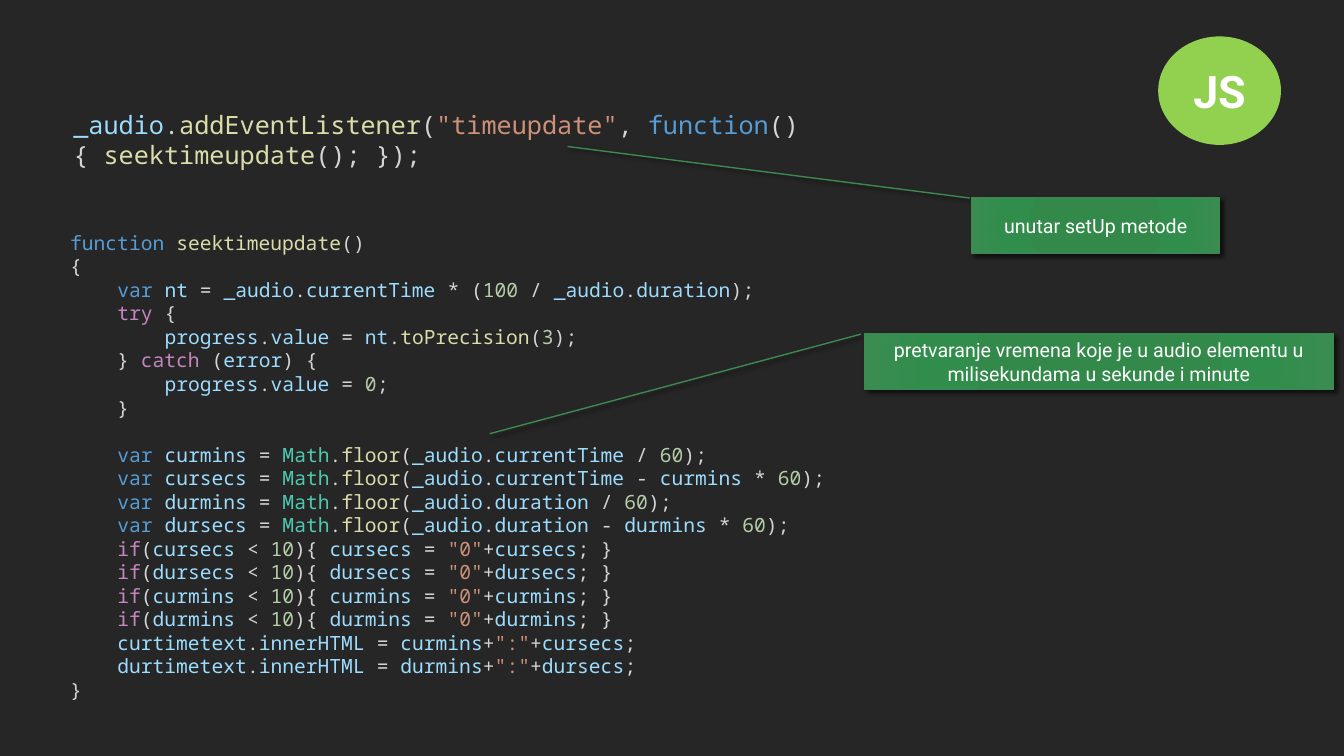
"""Build a dark slide with an audio event listener, its handler and two callouts."""
import dataclasses
import itertools

import pptx
import pptx.dml.color
import pptx.enum.shapes
import pptx.enum.text
import pptx.oxml
import pptx.oxml.ns
import pptx.util

Cm = pptx.util.Cm
Shapes = pptx.enum.shapes.MSO_SHAPE

LISTENER = '_audio.addEventListener("timeupdate", function(){ seektimeupdate(); });'

HANDLER = '''function seektimeupdate()
{
    var nt = _audio.currentTime * (100 / _audio.duration);
    try {
        progress.value = nt.toPrecision(3);
    } catch (error) {
        progress.value = 0;
    }
    
    var curmins = Math.floor(_audio.currentTime / 60);
    var cursecs = Math.floor(_audio.currentTime - curmins * 60);
    var durmins = Math.floor(_audio.duration / 60);
    var dursecs = Math.floor(_audio.duration - durmins * 60);
    if(cursecs < 10){ cursecs = "0"+cursecs; }
    if(dursecs < 10){ dursecs = "0"+dursecs; }
    if(curmins < 10){ curmins = "0"+curmins; }
    if(durmins < 10){ durmins = "0"+durmins; }
    curtimetext.innerHTML = curmins+":"+cursecs;
    durtimetext.innerHTML = durmins+":"+dursecs;
}'''

WORD_KINDS = {
    "declaration": ("function", "var"),
    "control": ("try", "catch", "if"),
    "type": ("Math",),
    "method": ("addEventListener", "seektimeupdate", "toPrecision", "floor"),
}


@dataclasses.dataclass(frozen=True)
class Theme:
    """Colours, fonts and type sizes of the slide."""
    background: str = "262626"
    badge: str = "92D050"
    light: str = "FFFFFF"
    callout_line: str = "3E8853"
    callout_stops: tuple = ((0, "2F8949"), (34, "32894A"), (70, "318D4B"), (100, "3A8C51"))
    declaration: str = "569CD6"
    control: str = "C586C0"
    type: str = "4EC9B0"
    method: str = "DCDCAA"
    variable: str = "9CDCFE"
    number: str = "B5CEA8"
    string: str = "CE9178"
    punctuation: str = "D4D4D4"
    code_font: str = "Noto Sans Mono"
    label_font: str = "Roboto"
    badge_size: int = 32
    listener_size: int = 18
    body_size: int = 14


def rgb(value):
    """Return a colour object for a hexadecimal value."""
    return pptx.dml.color.RGBColor.from_string(value)


def write_text(paragraph, text, *, font, size, color, bold=None):
    """Add one formatted run to a paragraph."""
    run = paragraph.add_run()
    run.text = text
    run.font.name = font
    run.font.size = pptx.util.Pt(size)
    run.font.color.rgb = rgb(color)
    run.font.bold = bold


def is_word_character(character):
    """Tell whether a character belongs to a name or a number."""
    return character.isalnum() or character == "_"


def word_kind(word):
    """Name the syntax kind of a piece of code outside quotes."""
    if not is_word_character(word[0]):
        return "punctuation"
    if word.isdigit():
        return "number"
    return next((kind for kind, words in WORD_KINDS.items() if word in words), "variable")


def tokens(line):
    """Yield each piece of a code line with its syntax kind."""
    for index, part in enumerate(line.split('"')):
        if index % 2:
            yield f'"{part}"', "string"
            continue
        for _, characters in itertools.groupby(part, is_word_character):
            word = "".join(characters)
            yield word, word_kind(word)


class SlideBuilder:
    """Draws the elements of one slide in one theme."""

    def __init__(self, slide, theme):
        """Keep the slide and theme and paint the background."""
        self.slide = slide
        self.theme = theme
        slide.background.fill.solid()
        slide.background.fill.fore_color.rgb = rgb(theme.background)

    def labelled_shape(self, kind, box, text, line_color, line_width, size, bold=None):
        """Add a preset shape with a centred label."""
        shape = self.slide.shapes.add_shape(kind, *map(Cm, box))
        shape.shadow.inherit = False
        shape.line.color.rgb = rgb(line_color)
        shape.line.width = pptx.util.Pt(line_width)
        frame = shape.text_frame
        frame.word_wrap = True
        frame.vertical_anchor = pptx.enum.text.MSO_ANCHOR.MIDDLE
        paragraph = frame.paragraphs[0]
        paragraph.alignment = pptx.enum.text.PP_ALIGN.CENTER
        write_text(paragraph, text, font=self.theme.label_font, size=size,
                   color=self.theme.light, bold=bold)
        return shape

    def badge(self, box, text):
        """Add the round language badge."""
        theme = self.theme
        shape = self.labelled_shape(Shapes.OVAL, box, text, theme.badge, 1.25,
                                    theme.badge_size, True)
        shape.fill.solid()
        shape.fill.fore_color.rgb = rgb(theme.badge)

    def code(self, box, source, size):
        """Add a text box of syntax-coloured code."""
        frame = self.slide.shapes.add_textbox(*map(Cm, box)).text_frame
        frame.word_wrap = True
        frame.auto_size = pptx.enum.text.MSO_AUTO_SIZE.SHAPE_TO_FIT_TEXT
        for index, line in enumerate(source.split("\n")):
            paragraph = frame.add_paragraph() if index else frame.paragraphs[0]
            for text, kind in tokens(line):
                write_text(paragraph, text.replace(" ", chr(160)), font=self.theme.code_font,
                           size=size, color=getattr(self.theme, kind))

    def callout(self, box, text, tip):
        """Add a shaded callout whose line ends at tip, given as fractions down and across."""
        theme = self.theme
        shape = self.labelled_shape(Shapes.LINE_CALLOUT_1, box, text, theme.callout_line, 1,
                                    theme.body_size)
        for index, value in enumerate((0.008, -0.008, *tip)):
            shape.adjustments[index] = value
        shape.fill.gradient()
        properties = shape.element.spPr
        namespace = pptx.oxml.ns.nsdecls("a")
        stops = "".join(f'<a:gs pos="{position * 1000}"><a:srgbClr val="{color}"/></a:gs>'
                        for position, color in theme.callout_stops)
        gradient = pptx.oxml.parse_xml(
            f'<a:gradFill {namespace} rotWithShape="1"><a:gsLst>{stops}</a:gsLst>'
            '<a:path path="circle"><a:fillToRect l="100000" t="100000" r="100000" b="100000"/>'
            '</a:path></a:gradFill>')
        properties.replace(properties.find(pptx.oxml.ns.qn("a:gradFill")), gradient)
        properties.find(pptx.oxml.ns.qn("a:effectLst")).append(pptx.oxml.parse_xml(
            f'<a:outerShdw {namespace} blurRad="38100" dist="25400" dir="2700000" '
            'rotWithShape="0"><a:srgbClr val="000000"><a:alpha val="60000"/></a:srgbClr>'
            '</a:outerShdw>'))


def main():
    """Build and save the presentation."""
    presentation = pptx.Presentation()
    presentation.slide_width, presentation.slide_height = Cm(33.87), Cm(19.05)
    theme = Theme()
    builder = SlideBuilder(presentation.slides.add_slide(presentation.slide_layouts[6]), theme)
    builder.badge((29.21, 0.94, 3.05, 2.69), "JS")
    builder.code((1.52, 5.69, 27.13, 12.22), HANDLER, theme.body_size)
    builder.code((1.6, 2.62, 25.37, 1.02), LISTENER, theme.listener_size)
    builder.callout((24.49, 4.98, 6.25, 1.4), "unutar setUp metode", (-0.92, -1.63))
    builder.callout((21.79, 8.41, 11.81, 1.4),
                    "pretvaranje vremena koje je u audio elementu u "
                    "milisekundama u sekunde i minute", (1.8, -0.8))
    presentation.save("out.pptx")


if __name__ == "__main__":
    main()
